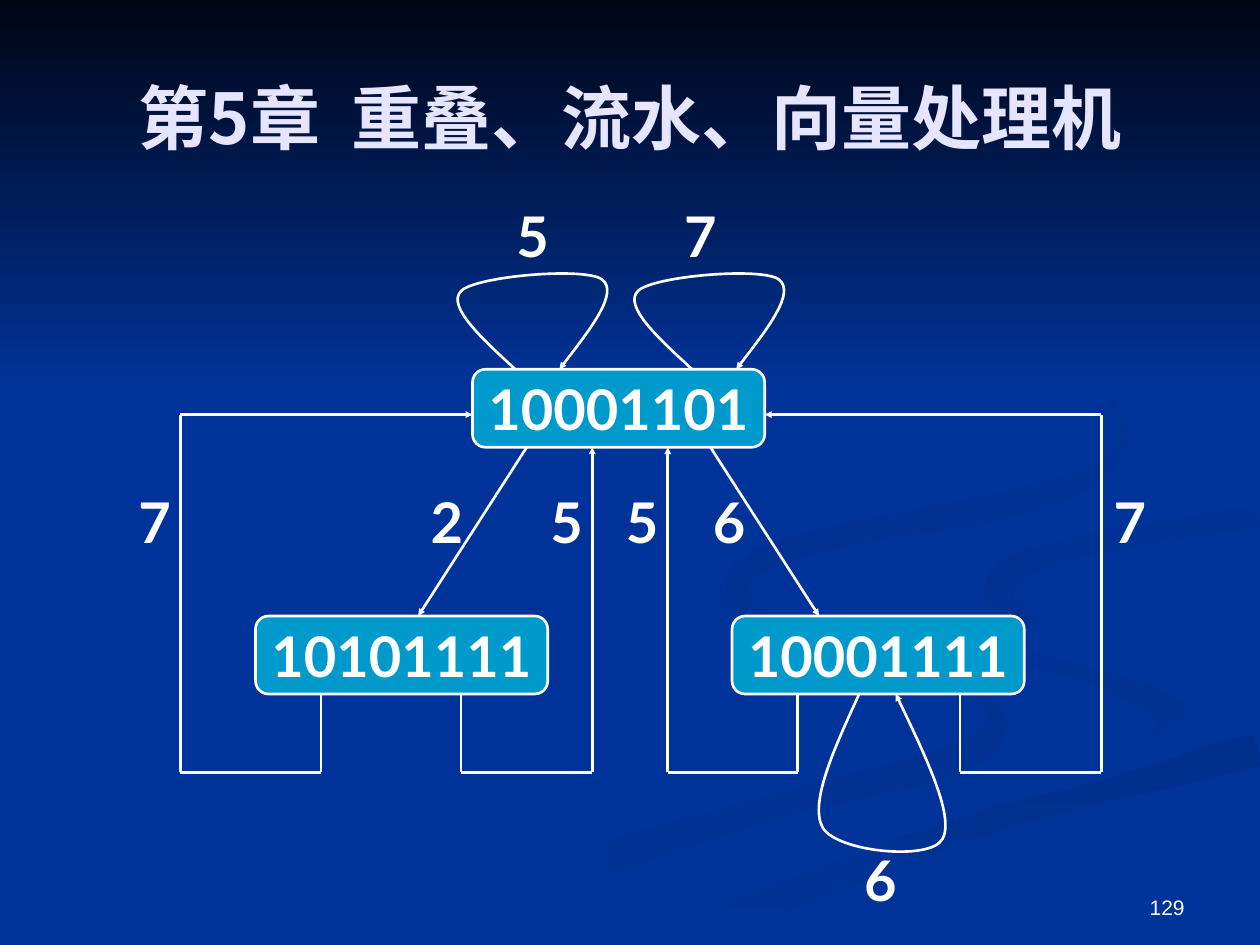
from dataclasses import dataclass
from itertools import pairwise
from math import hypot

from lxml import etree
from pptx import Presentation
from pptx import util as u
from pptx.dml.color import RGBColor
from pptx.enum import shapes, text
from pptx.oxml.ns import qn

Pt = u.Pt
WIDTH, HEIGHT = 720, 540
BOX_W, BOX_H = 167, 44.6


@dataclass(frozen=True)
class Theme:
    back: str = "003399"
    night: str = "000514"
    box: str = "0099CC"
    ink: str = "FFFFFF"
    title: str = "E5E5FF"
    latin: str = "Lato"
    asian: str = "Noto Sans CJK SC"
    plain: str = "Arial"
    title_size: float = 40
    label_size: float = 32
    number_size: float = 12
    line: float = 1.5


# Each ribbon: start colour, end colour, gradient angle, and a spine of (x, y, thickness)
RIBBONS = {
    "inner curl": ("003399", "003193", 0, [
        (414, 330, 0), (412, 338, 5), (427, 352, 5), (497, 376, 4), (548, 394, 4),
        (570, 412, 11), (543, 435, 17), (446, 460, 14), (334, 495, 20), (238, 539, 24)]),
    "bend": ("003399", "003193", 45, [
        (521, 334, 0), (534, 354, 3), (571, 371, 9), (626, 387, 9), (663, 402, 16),
        (670, 417, 18), (644, 436, 0)]),
    "low sweep": ("002F8C", "003399", 90, [
        (719, 428, 20), (622, 454, 14), (553, 473, 14), (458, 508, 18), (387, 539, 24)]),
    "long band": ("003399", "003399", 0, [
        (719, 284, 10), (587, 306, 14), (545, 332, 38), (604, 368, 12), (650, 380, 14),
        (695, 406, 26), (626, 443, 7), (550, 463, 6), (416, 511, 9), (352, 539, 16)]),
    "tip": ("003091", "003399", 45, [
        (719, 295, 13), (634, 309, 11), (585, 322, 14), (571, 340, 17), (595, 357, 0)]),
    "high curl": ("002F8E", "003399", 45, [
        (549, 168, 0), (608, 200, 2), (642, 243, 4), (625, 271, 10), (568, 290, 15),
        (490, 304, 12), (440, 318, 13), (421, 335, 12), (448, 360, 0)]),
}


def blend(a, b, share):
    return tuple(m + (n - m) * share for m, n in zip(a, b))


def handles(before, knot, after):
    """Return the smooth curve's handles on both sides of a knot."""
    reach = [(n - m) / 6 for m, n in zip(before, after)]
    return (tuple(k - d for k, d in zip(knot, reach)),
            tuple(k + d for k, d in zip(knot, reach)))


def smooth(knots):
    """Yield (start, handle, handle, end) for a smooth curve through all knots.

    An end handle lies halfway between its knot and the neighbour's handle.
    """
    inner = [handles(*trio) for trio in zip(knots, knots[1:], knots[2:])]
    first = (None, blend(knots[0], inner[0][0], 0.5))
    last = (blend(knots[-1], inner[-1][1], 0.5), None)
    ends = [first, *inner, last]
    for (a, b), (h, k) in zip(pairwise(knots), pairwise(ends)):
        yield a, h[1], k[0], b


def sample(knots, steps=6):
    """Return points along the smooth curve, by repeated blending."""
    points = [knots[0]]
    for leg in smooth(knots):
        for i in range(1, steps + 1):
            row = leg
            while len(row) > 1:
                row = [blend(a, b, i / steps) for a, b in pairwise(row)]
            points.append(row[0])
    return points


def ribbon_outline(spine):
    """Set each edge half a thickness off the spine, kept on the slide."""
    points = sample(spine)
    left, right = [], []
    around = zip([points[0]] + points, points, points[1:] + [points[-1]])
    for before, (x, y, thick), after in around:
        dx, dy = after[0] - before[0], after[1] - before[1]
        scale = thick / 2 / hypot(dx, dy)
        for edge, side in ((left, scale), (right, -scale)):
            edge.append((min(x - dy * side, WIDTH), min(y + dx * side, HEIGHT)))
    return left + right[::-1]


class Board:
    def __init__(self, slide, theme):
        self.s, self.t = slide, theme
        self.paint(slide.background.fill, theme.back)

    def paint(self, fill, color):
        fill.solid()
        fill.fore_color.rgb = RGBColor.from_string(color)

    def run(self, p, words, size, color, font, bold=True):
        r = p.add_run()
        r.text = words
        r.font.size, r.font.bold, r.font.name = Pt(size), bold, font
        r.font.color.rgb = RGBColor.from_string(color)
        etree.SubElement(r.font._element, qn("a:ea")).set("typeface", self.t.asian)
        return r

    def text_box(self, x, y, w, h, align=None, anchor=text.MSO_ANCHOR.TOP):
        """Add an empty text box and return its first paragraph."""
        tf = self.s.shapes.add_textbox(Pt(x), Pt(y), Pt(w), Pt(h)).text_frame
        tf.word_wrap, tf.vertical_anchor = True, anchor
        p = tf.paragraphs[0]
        p.alignment = align
        return p

    def label(self, words, x, y):
        p = self.text_box(x, y, 37.4, 45.4)
        self.run(p, words, self.t.label_size, self.t.ink, self.t.latin)

    def outline(self, line, arrow=False):
        line.color.rgb = RGBColor.from_string(self.t.ink)
        line.width = Pt(self.t.line)
        if arrow:
            etree.SubElement(line._get_or_add_ln(), qn("a:tailEnd"),
                             type="triangle", w="sm", len="sm")

    def state(self, words, x, y):
        sp = self.s.shapes.add_shape(
            shapes.MSO_SHAPE.ROUNDED_RECTANGLE, Pt(x), Pt(y), Pt(BOX_W), Pt(BOX_H))
        sp.shadow.inherit = False
        self.paint(sp.fill, self.t.box)
        self.outline(sp.line)
        tf = sp.text_frame
        tf.word_wrap, tf.vertical_anchor = False, text.MSO_ANCHOR.MIDDLE
        p = tf.paragraphs[0]
        p.alignment = text.PP_ALIGN.CENTER
        self.run(p, words, self.t.label_size, self.t.ink, self.t.latin)

    def route(self, *points):
        """Draw straight segments through the points, arrowhead on the last."""
        for a, b in pairwise(points):
            cx = self.s.shapes.add_connector(
                shapes.MSO_CONNECTOR.STRAIGHT, *(Pt(v) for v in a + b))
            self.outline(cx.line, arrow=b == points[-1])
            etree.SubElement(cx._element.spPr, qn("a:effectLst"))

    def freeform(self, points, close):
        first, *rest = [(Pt(x), Pt(y)) for x, y in points]
        fb = self.s.shapes.build_freeform(*first)
        fb.add_line_segments(rest, close=close)
        sp = fb.convert_to_shape()
        sp.shadow.inherit = False
        return sp

    def backdrop(self, points, start, end, angle):
        """Fill a closed outline; the angle runs clockwise."""
        sp = self.freeform(points, close=True)
        sp.line.fill.background()
        if start == end:
            return self.paint(sp.fill, start)
        sp.fill.gradient()
        sp.fill.gradient_angle = (360 - angle) % 360
        for stop, color in zip(sp.fill.gradient_stops, (start, end)):
            stop.color.rgb = RGBColor.from_string(color)

    def loop(self, *knots):
        """Draw a smooth arrow; each three line segments become one cubic curve."""
        points = [p for leg in smooth(knots) for p in leg[1:]]
        sp = self.freeform([knots[0], *points], close=False)
        sp.fill.background()
        self.outline(sp.line, arrow=True)
        path = next(sp._element.iter(qn("a:path")))
        legs = path.findall(qn("a:lnTo"))
        for trio in zip(*[iter(legs)] * 3):
            curve = etree.SubElement(path, qn("a:cubicBezTo"))
            for leg in trio:
                curve.append(leg[0])
                path.remove(leg)


def draw_backdrop(b):
    for start, end, angle, spine in RIBBONS.values():
        b.backdrop(ribbon_outline(spine), start, end, angle)
    sky = 221.8
    b.backdrop([(0, 0), (0, sky), (WIDTH, sky), (WIDTH, 0)], b.t.night, b.t.back, 90)


def draw_text(b):
    t = b.t
    p = b.text_box(516, 491.8, 168, 37.4, text.PP_ALIGN.RIGHT, text.MSO_ANCHOR.BOTTOM)
    b.run(p, "129", t.number_size, t.ink, t.plain, bold=False)
    p = b.text_box(36, 21.6, 648, 90, text.PP_ALIGN.CENTER, text.MSO_ANCHOR.MIDDLE)
    b.run(p, "第5章", t.title_size, t.title, t.asian)
    gap = b.run(p, " ", t.title_size, t.title, t.asian)
    gap.font._element.set("spc", "900")
    b.run(p, "重叠、流水、向量处理机", t.title_size, t.title, t.latin)


def draw_states(b):
    top_x, left_x, right_x = 270, 146, 418.3
    top_y, low_y = 211, 352
    top_foot, low_foot = top_y + BOX_H, low_y + BOX_H
    rail, turn, label_y = 236.9, 441.4, 275
    b.state("10001101", top_x, top_y)
    b.state("10101111", left_x, low_y)
    b.state("10001111", right_x, low_y)

    # Down to a lower state: label, label x, start x, end x
    for words, label_x, start, end in (("2", 239, 301, 239), ("6", 400.3, 406, 468)):
        b.label(words, label_x, label_y)
        b.route((start, top_foot), (end, low_y))

    # Back to the top state: label, label x, start x, riser x, then the arrow's end
    for words, label_x, start, riser, end in (
            ("7", 72, left_x + 37.5, 103, (top_x, rail)),
            ("5", 307.4, left_x + 117.5, 338.4, (338.4, top_foot)),
            ("5", 350.6, right_x + 37.5, 381.6, (381.6, top_foot)),
            ("7", 629.3, right_x + 130.3, 629.3, (top_x + BOX_W, rail))):
        b.label(words, label_x, label_y)
        corner = [(riser, rail)] if end[0] != riser else []
        b.route((start, low_foot), (start, turn), (riser, turn), *corner, end)

    # Back to the same state
    for words, label_x, x in (("5", 288, 294.5), ("7", 383.8, 395.5)):
        b.label(words, label_x, 111.6)
        b.loop((x, top_y), (x - 31, 166.3), (x + 49.7, 159.8), (x + 25.2, top_y))
    b.label("6", 486.7, 479.5)
    b.loop((491, low_foot), (470.2, 473), (538.6, 479.5), (511.9, low_foot))


def main():
    prs = Presentation()
    prs.slide_width, prs.slide_height = Pt(WIDTH), Pt(HEIGHT)
    b = Board(prs.slides.add_slide(prs.slide_layouts[6]), Theme())
    draw_backdrop(b)
    draw_text(b)
    draw_states(b)
    prs.save("out.pptx")


if __name__ == "__main__":
    main()
